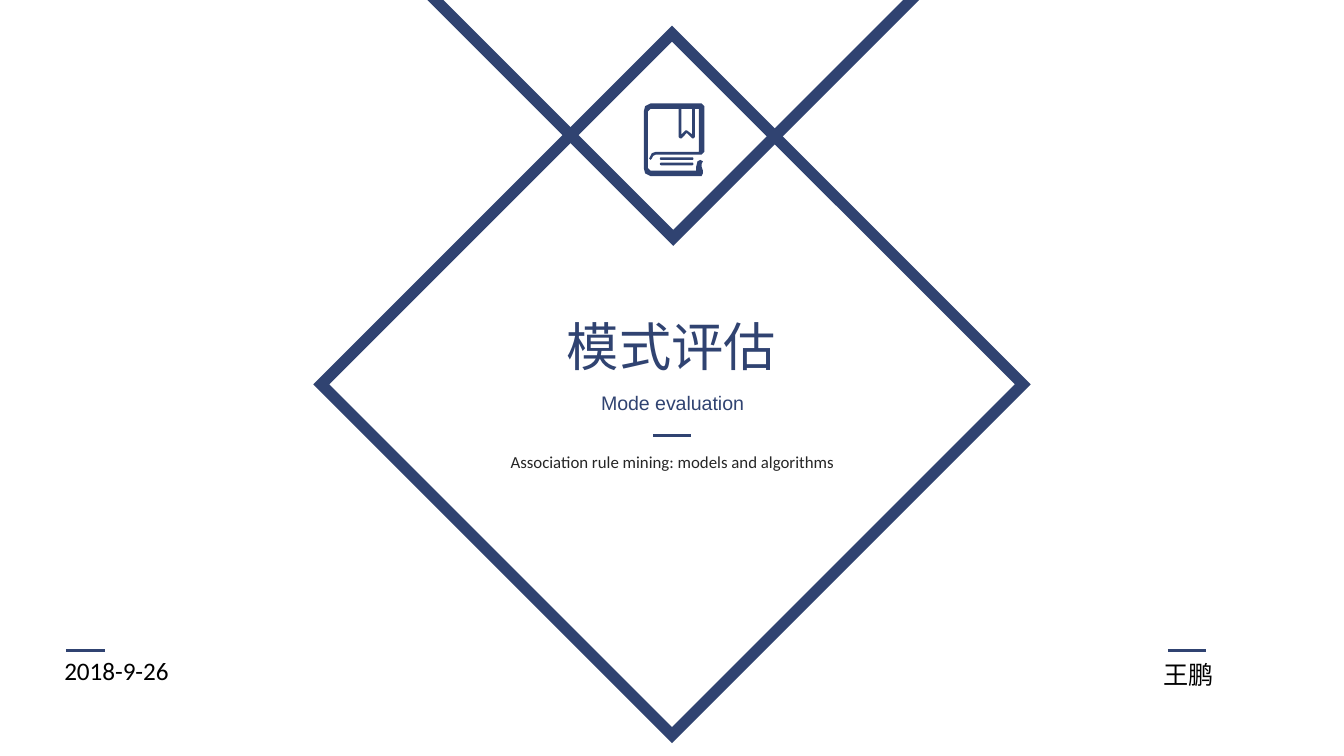
from lxml import etree
from pptx import Presentation
from pptx.dml.color import RGBColor
from pptx.enum.shapes import MSO_CONNECTOR, MSO_SHAPE
from pptx.enum.text import MSO_AUTO_SIZE, PP_ALIGN
from pptx.oxml.ns import qn
from pptx.util import Inches, Pt

STRAIGHT = MSO_CONNECTOR.STRAIGHT
DIAMOND = MSO_SHAPE.DIAMOND
ROUNDED = MSO_SHAPE.ROUNDED_RECTANGLE
GROW = MSO_AUTO_SIZE.SHAPE_TO_FIT_TEXT
LEFT, CENTER = PP_ALIGN.LEFT, PP_ALIGN.CENTER

NAVY = RGBColor(0x30, 0x43, 0x71)
CHARCOAL = RGBColor(0x26, 0x26, 0x26)
BLACK = RGBColor(0, 0, 0)

PAGE_WIDTH = 10
PAGE_HEIGHT = PAGE_WIDTH * 9 / 16

HEADINGS = [
    ("模式评估", (4.11, 2.29, 1.77, 0.57),
     dict(size=28, font="Noto Sans CJK SC", color=NAVY, align=CENTER)),
    ("Mode evaluation", (4.36, 2.86, 1.29, 0.28),
     dict(size=10.5, font="Arial", color=NAVY, align=CENTER)),
    ("Association rule mining: models and algorithms", (3.09, 3.24, 3.82, 0.3),
     dict(size=9, color=CHARCOAL, align=CENTER, wrap=True, spacing=1.5)),
]
FOOTERS = [
    ("2018-9-26", (0.38, 4.83, 0.99, 0.33), dict(size=13.5)),
    ("王鹏", (8.56, 4.86, 0.58, 0.33), dict(size=13.5)),
]
HEADING_DASH = (4.86, 5.14, 3.24)
FOOTER_DASHES = [(0.49, 0.78, 4.84), (8.69, 8.97, 4.84)]

# Outline points are in hundredths of an inch.
TOP_TRIANGLE = [(273, -51), (729, -51), (501, 177)]
BOOK_COVER = [
    (522, 115), (524, 113), (524, 79), (522, 77), (484, 77), (480, 79),
    (479, 83), (479, 125), (480, 129), (484, 131), (522, 131), (523, 129),
    (523, 127), (522, 124), (522, 122), (523, 120), (521, 119), (519, 120),
    (518, 124), (518, 127), (484, 127), (482, 125), (482, 83), (484, 81),
    (505, 81), (505, 102), (506, 103), (507, 103), (511, 99), (515, 103),
    (516, 103), (517, 102), (517, 81), (520, 81), (520, 113), (488, 113),
    (485, 114), (483, 118), (484, 119), (485, 118), (486, 116), (488, 115),
]
BOOKMARK_HOLE = [(515, 100), (511, 97), (510, 97), (507, 100), (507, 81), (515, 81)]
PAGE_LINES = [1.17, 1.21]


def add_text(page, text, place, size, font="Calibri", color=BLACK,
             align=LEFT, wrap=False, spacing=None):
    box = page.shapes.add_textbox(*map(Inches, place))
    frame = box.text_frame
    frame.word_wrap = wrap
    frame.auto_size = GROW
    para = frame.paragraphs[0]
    para.alignment = align
    para.line_spacing = spacing
    span = para.add_run()
    span.text = text
    span.font.size = Pt(size)
    span.font.name = font
    span.font.color.rgb = color
    if font.startswith("Noto"):
        latin = span.font._element.find(qn("a:latin"))
        latin.addnext(latin.makeelement(qn("a:ea"), {"typeface": font}))


def style_frame(shape):
    shape.shadow.inherit = False
    shape.fill.background()
    shape.line.color.rgb = NAVY
    shape.line.width = Pt(6)
    etree.SubElement(shape.line._get_or_add_ln(), qn("a:miter"), lim="800000")


def style_solid(shape):
    shape.shadow.inherit = False
    shape.fill.solid()
    shape.fill.fore_color.rgb = NAVY
    shape.line.fill.background()


def add_outline(page, *contours):
    first, *others = contours
    builder = page.shapes.build_freeform(*first[0], scale=Inches(0.01))
    builder.add_line_segments(first[1:], close=True)
    for contour in others:
        builder.move_to(*contour[0])
        builder.add_line_segments(contour[1:], close=True)
    return builder.convert_to_shape()


def add_dash(page, left, right, top):
    dash = page.shapes.add_connector(STRAIGHT, *map(Inches, (left, top, right, top)))
    dash.line.color.rgb = NAVY
    dash.line.width = Pt(1.5)
    etree.SubElement(dash._element.spPr, qn("a:effectLst"))


def main():
    deck = Presentation()
    deck.slide_width, deck.slide_height = Inches(PAGE_WIDTH), Inches(PAGE_HEIGHT)
    page = deck.slides.add_slide(deck.slide_layouts[6])

    for text, place, style in HEADINGS:
        add_text(page, text, place, **style)
    add_dash(page, *HEADING_DASH)
    style_frame(add_outline(page, TOP_TRIANGLE))
    style_frame(page.shapes.add_shape(DIAMOND, *map(Inches, (2.39, 0.25, 5.22, 5.22))))

    for top in PAGE_LINES:
        bar = page.shapes.add_shape(ROUNDED, *map(Inches, (4.91, top, 0.25, 0.02)))
        bar.adjustments[0] = 0.5
        style_solid(bar)
    style_solid(add_outline(page, BOOK_COVER, BOOKMARK_HOLE))

    for dash in FOOTER_DASHES:
        add_dash(page, *dash)
    for text, place, style in FOOTERS:
        add_text(page, text, place, **style)
    deck.save("out.pptx")


if __name__ == "__main__":
    main()
